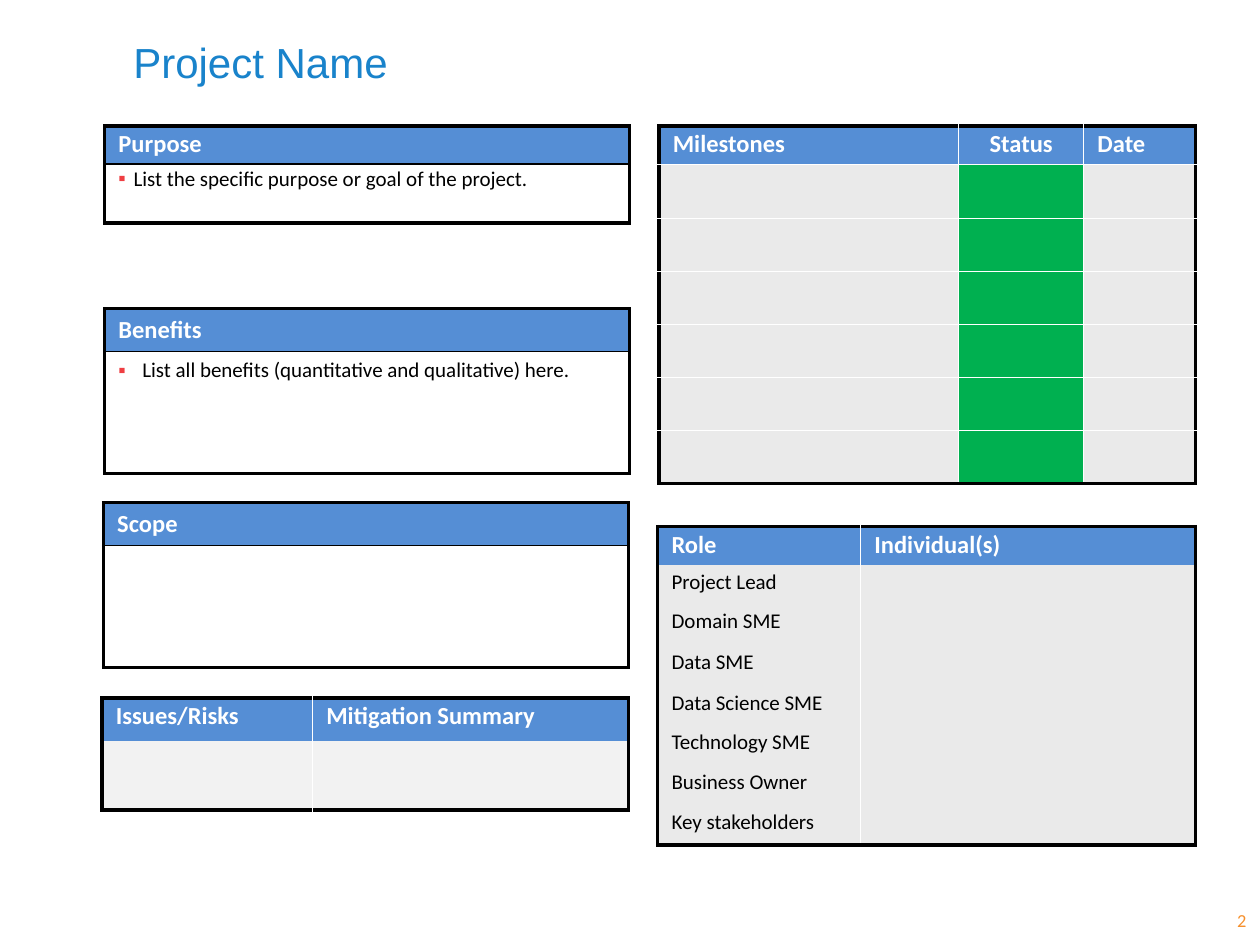
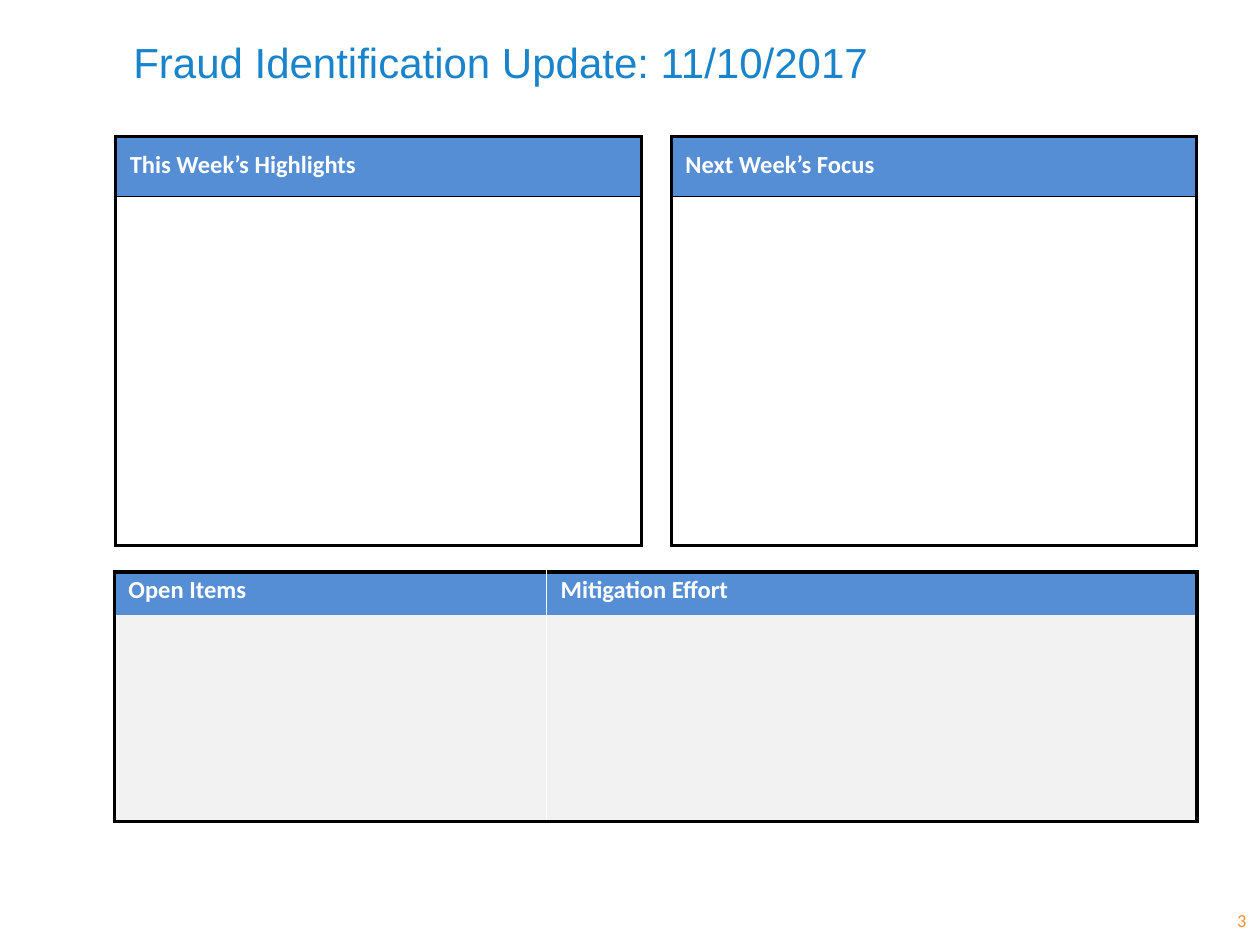
import lxml.etree
import pptx
import pptx.dml.color
import pptx.enum.text
import pptx.oxml.ns
import pptx.util

Inches = pptx.util.Inches
Pt = pptx.util.Pt
qn = pptx.oxml.ns.qn
add = lxml.etree.SubElement
ANCHOR = pptx.enum.text.MSO_ANCHOR
ALIGN = pptx.enum.text.PP_ALIGN

# Shared colours and formats
BLACK, WHITE, BLUE = "000000", "FFFFFF", "558ED5"
GREEN, RED, GREY, PALE = "00B050", "EF3E42", "EAEAEA", "F2F2F2"
HEAD = {"name": "Calibri", "size": Pt(14), "bold": True}
BODY = {"name": "Calibri", "size": Pt(12), "bold": False}
PLAIN_STYLE = "{2D5ABB26-0587-4C30-8999-92F81FD0307C}"

# A box has one column, a white body and a black rule; a grid has grey cells
BOX = {"edge": 2, "rule": (BLACK, 1), "fill": None, "pad": 0.05,
       "anchor": ANCHOR.MIDDLE, "before": None, "space": 0.8}
GRID = {"edge": 2.25, "rule": None, "fill": GREY, "pad": 0.06,
        "anchor": ANCHOR.TOP, "before": "30000", "space": 0.8}
LOOSE = BOX | {"space": 1.0}
RISK = GRID | {"fill": PALE}


def hue(code):
    return pptx.dml.color.RGBColor.from_string(code)


def panel(slide, left, top, cols, rows, texts, look):
    """Add a table; texts holds rows of words, the first being the header."""
    frame = slide.shapes.add_table(
        len(rows), len(cols), Inches(left), Inches(top),
        Inches(sum(cols)), Inches(sum(rows)))
    table = frame.table
    table.first_row = table.horz_banding = False
    table._tbl.tblPr.find(qn("a:tableStyleId")).text = PLAIN_STYLE
    for col, width in zip(table.columns, cols):
        col.width = Inches(width)
    for row, height in zip(table.rows, rows):
        row.height = Inches(height)

    edge = (BLACK, look["edge"])
    for r in range(len(rows)):
        for c in range(len(cols)):
            cell = table.cell(r, c)
            head = r == 0

            # Fill and insets
            fill = BLUE if head else look["fill"]
            if not head and c == look.get("mark"):
                fill = GREEN
            if fill:
                cell.fill.solid()
                cell.fill.fore_color.rgb = hue(fill)
            else:
                cell.fill.background()
            cell.margin_left = cell.margin_right = Inches(0.11)
            cell.margin_top = cell.margin_bottom = Inches(look["pad"])
            cell.vertical_anchor = look["anchor"] if head else ANCHOR.TOP

            # Borders: black outside, white between columns
            inner = (WHITE, 0.75 if head else 0.5)
            sides = {
                "L": edge if c == 0 else inner,
                "R": edge if c == len(cols) - 1 else inner,
                "T": edge if head else look["rule"],
                "B": edge if r == len(rows) - 1 else look["rule"]}
            props = cell._tc.get_or_add_tcPr()
            for i, (side, line) in enumerate(sides.items()):
                ln = lxml.etree.Element(qn("a:ln" + side))
                props.insert(i, ln)
                if line:
                    ln.set("w", str(int(Pt(line[1]))))
                    solid = add(ln, qn("a:solidFill"))
                    add(solid, qn("a:srgbClr"), val=line[0])
                else:
                    add(ln, qn("a:noFill"))

            # Text
            para = cell.text_frame.paragraphs[0]
            words = texts[r][c] if r < len(texts) and c < len(texts[r]) else ""
            if not words:
                add(para._p, qn("a:endParaRPr"), sz="1000")
                continue
            run = para.add_run()
            run.text = words
            for key, value in (HEAD if head else BODY).items():
                setattr(run.font, key, value)
            run.font.color.rgb = hue(WHITE if head else BLACK)
            para.line_spacing = look["space"]
            if head and c == look.get("mark"):
                para.alignment = ALIGN.CENTER
            form = para._p.get_or_add_pPr()
            dent = None if head else look.get("dent")
            before = "30000" if dent else look["before"]
            if before:
                add(add(form, qn("a:spcBef")), qn("a:spcPct"), val=before)
            if dent:
                form.set("marL", str(int(Inches(dent))))
                form.set("indent", str(int(Inches(-dent))))
                add(add(form, qn("a:buClr")), qn("a:srgbClr"), val=RED)
                add(form, qn("a:buFont"), typeface="Arial")
                add(form, qn("a:buChar"), char="▪")


deck = pptx.Presentation()
deck.slide_width, deck.slide_height = Inches(10), Inches(7.5)

# Title and page number of each slide
pages = []
for number, title in enumerate(
        ["Project Name", "Fraud Identification Update: 11/10/2017"], 2):
    page = deck.slides.add_slide(deck.slide_layouts[6])
    pages.append(page)
    for words, spot, font, size, code, side, anchor in [
            (title, (0.96, 0.21, 8.54, 0.71), "Arial", 24, "1983CB",
             ALIGN.LEFT, ANCHOR.TOP),
            (str(number), (9.52, 7.1, 0.47, 0.4), "Calibri", 10.5, "F6902D",
             ALIGN.RIGHT, ANCHOR.MIDDLE)]:
        box = page.shapes.add_textbox(*map(Inches, spot)).text_frame
        box.word_wrap = True
        box.vertical_anchor = anchor
        if anchor == ANCHOR.TOP:
            box.margin_top = Inches(0.08)
        para = box.paragraphs[0]
        para.alignment = side
        run = para.add_run()
        run.text = words
        run.font.name, run.font.size = font, Pt(size)
        run.font.color.rgb = hue(code)

# Project charter
first, second = pages
panel(first, 0.83, 1, [4.17], [0.3, 0.47],
      [["Purpose"], ["List the specific purpose or goal of the project."]],
      BOX | {"dent": 0.12})
panel(first, 0.83, 2.45, [4.17], [0.34, 0.97],
      [["Benefits"],
       ["List all benefits (quantitative and qualitative) here."]],
      LOOSE | {"dent": 0.19})
panel(first, 5.23, 1, [2.38, 0.99, 0.89], [0.3, 0.43] + [0.42] * 5,
      [["Milestones", "Status", "Date"]],
      GRID | {"rule": (WHITE, 0.5), "mark": 1})
panel(first, 0.81, 5.54, [1.67, 2.51], [0.34, 0.55],
      [["Issues/Risks", "Mitigation Summary"]], RISK)
roles = ["Project Lead", "Domain SME", "Data SME", "Data Science SME",
         "Technology SME", "Business Owner", "Key stakeholders"]
panel(first, 5.22, 4.18, [1.61, 2.66],
      [0.3, 0.31, 0.33, 0.32, 0.31, 0.32, 0.32, 0.31],
      [["Role", "Individual(s)"]] + [[role] for role in roles], GRID)
panel(first, 0.82, 3.99, [4.17], [0.34, 0.97], [["Scope"]], LOOSE)

# Weekly update
for left, name in [(0.92, "This Week’s Highlights"),
                   (5.33, "Next Week’s Focus")]:
    panel(second, left, 1.08, [4.17], [0.48, 2.77], [[name]], BOX)
panel(second, 0.91, 4.54, [3.43, 5.16], [0.34] + [0.41] * 4,
      [["Open Items", "Mitigation Effort"]], RISK)

deck.save("out.pptx")
